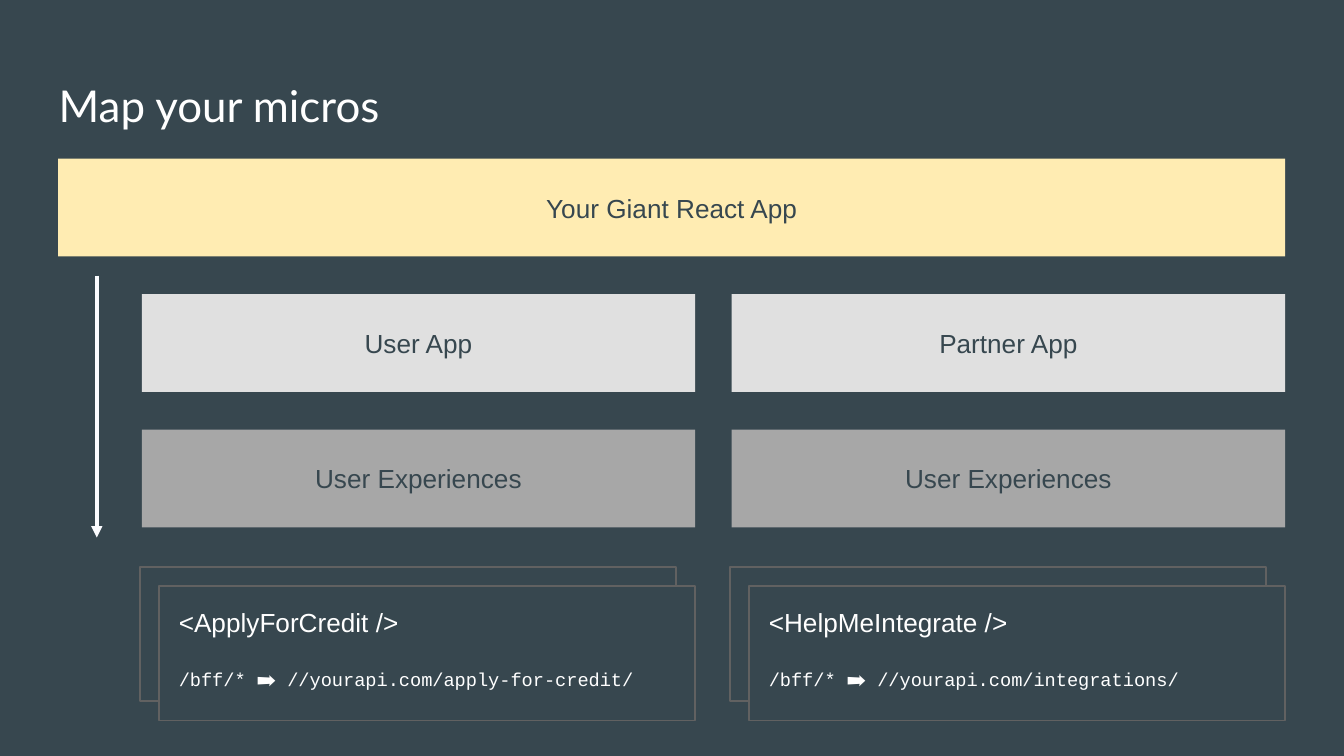
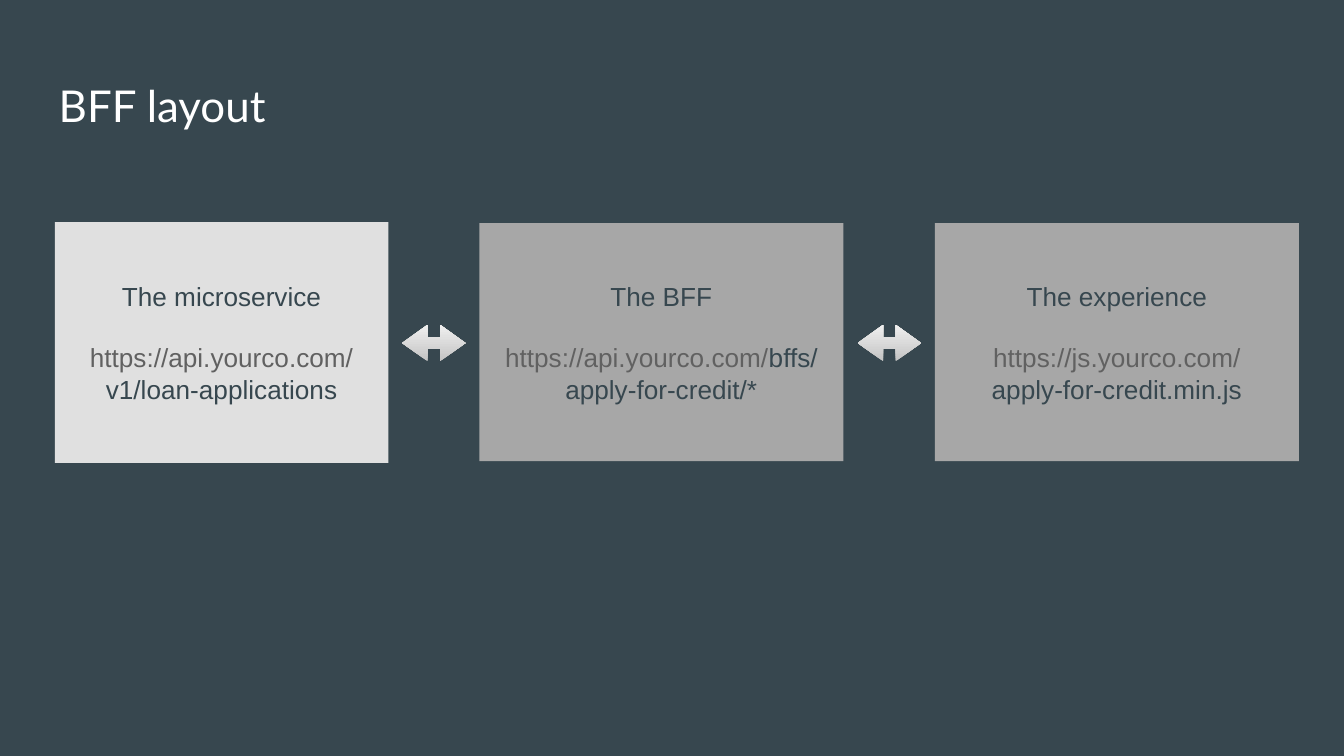
from dataclasses import dataclass

from lxml.etree import SubElement
from pptx import Presentation
from pptx.dml.color import RGBColor
from pptx.enum.shapes import MSO_CONNECTOR, MSO_SHAPE
from pptx.enum.text import MSO_ANCHOR, PP_ALIGN
from pptx.oxml.ns import qn
from pptx.shapes.autoshape import Shape
from pptx.slide import Slide
from pptx.util import Cm, Pt

SLATE = RGBColor(0x37, 0x47, 0x4F)
WHITE = RGBColor(0xFF, 0xFF, 0xFF)
OFF_WHITE = RGBColor(0xFB, 0xFC, 0xFF)
CREAM = RGBColor(0xFF, 0xEC, 0xB2)
LIGHT_GREY = RGBColor(0xE0, 0xE0, 0xE0)
MID_GREY = RGBColor(0xA7, 0xA7, 0xA7)
DARK_GREY = RGBColor(0x61, 0x61, 0x61)
ARROW_BOTTOM = RGBColor(0xC4, 0xC4, 0xC4)
ARROW_TOP = RGBColor(0xEF, 0xEF, 0xEF)

TITLE_FONT = "Lato"
BODY_FONT = "Arial"
CODE_FONT = "Courier New"


@dataclass(frozen=True)
class Area:
    """A rectangle on the page, in centimetres."""
    left: float
    top: float
    width: float
    height: float

    def moved(self, right: float = 0, down: float = 0) -> "Area":
        return Area(self.left + right, self.top + down, self.width, self.height)

    def lengths(self) -> tuple[Cm, Cm, Cm, Cm]:
        return Cm(self.left), Cm(self.top), Cm(self.width), Cm(self.height)


@dataclass(frozen=True)
class Span:
    text: str
    color: RGBColor = SLATE
    size: float = 14
    font: str = BODY_FONT


@dataclass(frozen=True)
class Line:
    """A paragraph of spans with the space above it in points."""
    spans: tuple[Span, ...]
    space_before: float = 0


@dataclass(frozen=True)
class AppColumn:
    app: str
    component: str
    route: str


@dataclass(frozen=True)
class Service:
    area: Area
    fill: RGBColor
    name: str
    address: tuple[Line, ...]


TITLE_AREA = Area(0.86, 1.24, 23.67, 1.6)

# Slide 1
GIANT_APP = Area(1.1, 3, 23.19, 1.85)
ROW_PITCH = 2.56
COLUMN_PITCH = 11.15
APP_BAND = Area(2.68, GIANT_APP.top + ROW_PITCH, 10.46, GIANT_APP.height)
BACK_CARD = Area(2.64, 10.72, 10.14, 2.54)
CARD_OFFSET = 0.36
COLUMNS = (
    AppColumn("User App", "<ApplyForCredit />", "/bff/* ➡ //yourapi.com/apply-for-credit/"),
    AppColumn("Partner App", "<HelpMeIntegrate />", "/bff/* ➡ //yourapi.com/integrations/"),
)

# Slide 2
SERVICE_PITCH = 8.61
BFF_BOX = Area(9.06, 4.22, 6.88, 4.5)
FIRST_ARROW = Area(7.6, 6.14, 1.2, 0.69)
ADDRESS_GAP = 16
SERVICES = (
    Service(Area(1.04, 4.2, 6.3, 4.55), LIGHT_GREY, "The microservice", (
        Line((Span("https://api.yourco.com/", DARK_GREY),), ADDRESS_GAP),
        Line((Span("v1/loan-applications"),)),
    )),
    Service(BFF_BOX, MID_GREY, "The BFF", (
        Line((Span("https://api.yourco.com/", DARK_GREY),
              Span("bffs/apply-for-credit/*")), ADDRESS_GAP),
    )),
    Service(BFF_BOX.moved(right=SERVICE_PITCH), MID_GREY, "The experience", (
        Line((Span("https://js.yourco.com/", DARK_GREY),), ADDRESS_GAP),
        Line((Span("apply-for-credit.min.js"),)),
    )),
)


def write(shape: Shape, lines: tuple[Line, ...], margin: float,
          align: PP_ALIGN = PP_ALIGN.LEFT, anchor: MSO_ANCHOR = MSO_ANCHOR.TOP) -> None:
    frame = shape.text_frame
    frame.word_wrap = True
    frame.vertical_anchor = anchor
    frame.margin_left = frame.margin_right = Cm(margin)
    frame.margin_top = frame.margin_bottom = Cm(margin)
    for index, line in enumerate(lines):
        para = frame.add_paragraph() if index else frame.paragraphs[0]
        para.alignment = align
        para.space_before = Pt(line.space_before)
        for span in line.spans:
            run = para.add_run()
            run.text = span.text
            run.font.name = span.font
            run.font.size = Pt(span.size)
            run.font.color.rgb = span.color


def add_box(page: Slide, area: Area, fill: RGBColor, outline: RGBColor | None = None) -> Shape:
    box = page.shapes.add_shape(MSO_SHAPE.RECTANGLE, *area.lengths())
    box.shadow.inherit = False
    box.fill.solid()
    box.fill.fore_color.rgb = fill
    if outline is None:
        box.line.fill.background()
    else:
        box.line.color.rgb = outline
        box.line.width = Pt(1)
    return box


def add_centred_box(page: Slide, area: Area, fill: RGBColor, lines: tuple[Line, ...]) -> None:
    write(add_box(page, area, fill), lines, 0, PP_ALIGN.CENTER, MSO_ANCHOR.MIDDLE)


def add_band(page: Slide, area: Area, fill: RGBColor, label: str) -> None:
    add_centred_box(page, area, fill, (Line((Span(label),)),))


def add_card_stack(page: Slide, back: Area, column: AppColumn) -> None:
    add_box(page, back, SLATE, DARK_GREY)
    front = add_box(page, back.moved(CARD_OFFSET, CARD_OFFSET), SLATE, DARK_GREY)
    write(front, (
        Line((Span(column.component, WHITE),)),
        Line((Span(column.route, WHITE, 10, CODE_FONT),), 16),
    ), 0.38)


def add_down_arrow(page: Slide, x: float, top: float, bottom: float) -> None:
    arrow = page.shapes.add_connector(MSO_CONNECTOR.STRAIGHT, Cm(x), Cm(top), Cm(x), Cm(bottom))
    arrow.line.color.rgb = OFF_WHITE
    arrow.line.width = Pt(2)
    SubElement(arrow.line._get_or_add_ln(), qn("a:tailEnd"), type="triangle")
    SubElement(arrow._element.spPr, qn("a:effectLst"))


def add_exchange_arrow(page: Slide, area: Area) -> None:
    arrow = page.shapes.add_shape(MSO_SHAPE.LEFT_RIGHT_ARROW, *area.lengths())
    arrow.shadow.inherit = False
    arrow.adjustments[0] = 0.32
    arrow.adjustments[1] = 0.7
    arrow.line.fill.background()
    arrow.fill.gradient()
    arrow.fill.gradient_angle = 90
    for stop, color in zip(arrow.fill.gradient_stops, (ARROW_BOTTOM, ARROW_TOP)):
        stop.color.rgb = color


def add_page(deck: Presentation, title: str) -> Slide:
    page = deck.slides.add_slide(deck.slide_layouts[6])
    box = page.shapes.add_textbox(*TITLE_AREA.lengths())
    write(box, (Line((Span(title, WHITE, 23.5, TITLE_FONT),)),), 0.25)
    return page


def build_micros_map(deck: Presentation) -> None:
    page = add_page(deck, "Map your micros")
    add_band(page, GIANT_APP, CREAM, "Your Giant React App")
    for index, column in enumerate(COLUMNS):
        shift = index * COLUMN_PITCH
        band = APP_BAND.moved(right=shift)
        add_band(page, band, LIGHT_GREY, column.app)
        add_band(page, band.moved(down=ROW_PITCH), MID_GREY, "User Experiences")
        add_card_stack(page, BACK_CARD.moved(right=shift), column)
    add_down_arrow(page, 1.83, 5.21, 10.16)


def build_bff_layout(deck: Presentation) -> None:
    page = add_page(deck, "BFF layout")
    for service in SERVICES:
        lines = (Line((Span(service.name),)), *service.address)
        add_centred_box(page, service.area, service.fill, lines)
    for index in range(len(SERVICES) - 1):
        add_exchange_arrow(page, FIRST_ARROW.moved(right=index * SERVICE_PITCH))


def main() -> None:
    deck = Presentation()
    deck.slide_width = Cm(25.4)
    deck.slide_height = Cm(14.29)
    backdrop = deck.slide_master.background.fill
    backdrop.solid()
    backdrop.fore_color.rgb = SLATE
    build_micros_map(deck)
    build_bff_layout(deck)
    deck.save("out.pptx")


if __name__ == "__main__":
    main()
